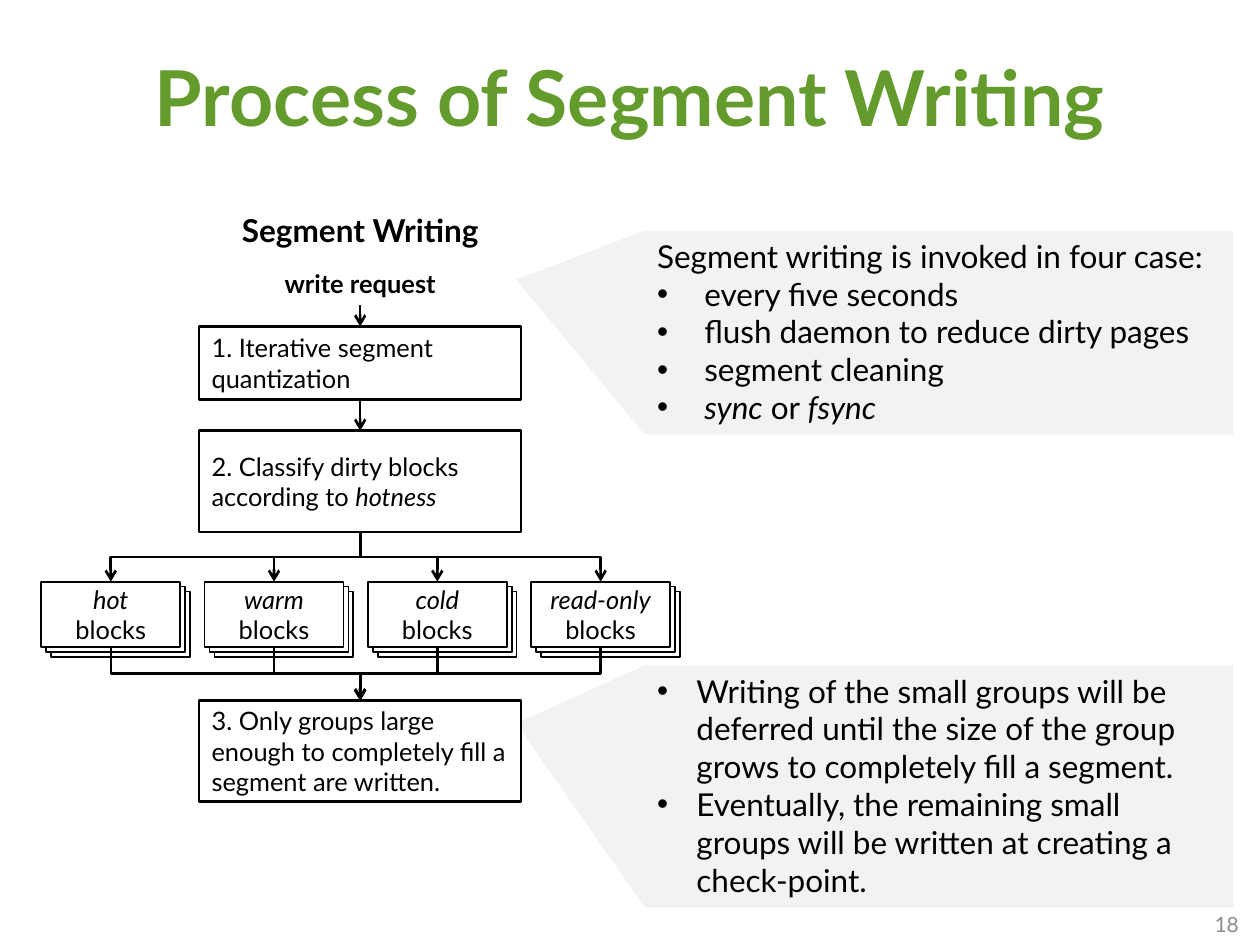
import pptx
import pptx.util
import pptx.dml.color
import pptx.enum.shapes
import pptx.enum.text
import pptx.oxml
import pptx.oxml.ns

Pt = pptx.util.Pt
SHAPE = pptx.enum.shapes.MSO_SHAPE
LINK = pptx.enum.shapes.MSO_CONNECTOR
ALIGN = pptx.enum.text.PP_ALIGN
ANCHOR = pptx.enum.text.MSO_ANCHOR
GREEN = pptx.dml.color.RGBColor(0x64, 0x9B, 0x2D)
BLACK = pptx.dml.color.RGBColor(0, 0, 0)
WHITE = pptx.dml.color.RGBColor(0xFF, 0xFF, 0xFF)
PALE = pptx.dml.color.RGBColor(0xF2, 0xF2, 0xF2)
GRAY = pptx.dml.color.RGBColor(0x8C, 0x8C, 0x8C)


def add_xml(parent, tag, **attributes):
    """Append a DrawingML element to the parent."""
    child = pptx.oxml.parse_xml(f"<a:{tag} {pptx.oxml.ns.nsdecls('a')}/>")
    for name, value in attributes.items():
        child.set(name, str(value))
    parent.append(child)


def write(shape, paragraphs, size, color=BLACK, bold=False, align=ALIGN.LEFT,
          anchor=ANCHOR.MIDDLE, indent=0, plain=0):
    """Fill a shape with paragraphs of (text, italic) spans, bulleted after the plain ones."""
    frame = shape.text_frame
    frame.word_wrap = True
    frame.vertical_anchor = anchor
    for index, spans in enumerate(paragraphs):
        para = frame.add_paragraph() if index else frame.paragraphs[0]
        para.alignment = align
        if indent and index >= plain:
            settings = para._p.get_or_add_pPr()
            settings.set("marL", str(Pt(indent)))
            settings.set("indent", str(-Pt(indent)))
            add_xml(settings, "buFont", typeface="Arial")
            add_xml(settings, "buChar", char="•")
        para.font.name = "Lato"
        para.font.size = Pt(size)
        para.font.bold = bold
        para.font.color.rgb = color
        for text, italic in spans:
            span = para.add_run()
            span.text = text
            if italic:
                span.font.italic = True


def add_label(page, left, top, width, height, text, size, **style):
    """Add a text box with one line of text."""
    box = page.shapes.add_textbox(Pt(left), Pt(top), Pt(width), Pt(height))
    write(box, [[(text, False)]], size, **style)
    return box


def add_box(page, kind, left, top, width, height, fill, line=0):
    """Add a filled shape, outlined in black when a line width is given."""
    box = page.shapes.add_shape(kind, Pt(left), Pt(top), Pt(width), Pt(height))
    box.shadow.inherit = False
    box.fill.solid()
    box.fill.fore_color.rgb = fill
    if line:
        box.line.color.rgb = BLACK
        box.line.width = Pt(line)
    else:
        box.line.fill.background()
    return box


def add_step(page, left, top, width, height, spans):
    """Add one process step."""
    box = add_box(page, SHAPE.FLOWCHART_PROCESS, left, top, width, height, WHITE, 1.5)
    write(box, [spans], 14.5)
    return box


def add_stack(page, left, top, width, height, name):
    """Add three stacked cards with the name of a block group on the front one."""
    for shift in (5.6, 2.8, 0):
        card = add_box(page, SHAPE.FLOWCHART_PROCESS, left + shift, top + shift,
                       width, height, WHITE, 1)
    write(card, [[(name, True)], [("blocks", False)]], 14.5, align=ALIGN.CENTER)
    return card


def style_arrow(link):
    """Give a connector a black line and an open arrowhead."""
    link.line.color.rgb = BLACK
    link.line.width = Pt(1.5)
    add_xml(link.line._get_or_add_ln(), "tailEnd", type="arrow")
    add_xml(link._element.spPr, "effectLst")


def join_straight(page, upper, lower):
    """Join the bottom of one shape to the top of the next."""
    link = page.shapes.add_connector(LINK.STRAIGHT, 0, 0, 0, 0)
    link.begin_connect(upper, 2)
    link.end_connect(lower, 0)
    style_arrow(link)


def join_bent(page, upper, lower):
    """Run a down-across-down arrow from one shape to another."""
    x1, y1 = upper.left + upper.width // 2, upper.top + upper.height
    x2, y2 = lower.left + lower.width // 2, lower.top
    drop, across = y2 - y1, abs(x2 - x1)
    left = (x1 + x2 - drop) // 2
    top = (y1 + y2 - across) // 2
    ends = (left, left + drop) if x2 < x1 else (left + drop, left)
    link = page.shapes.add_connector(LINK.ELBOW, ends[0], top, ends[1], top + across)
    turn = 90 if x2 < x1 else 270
    link._element.spPr.xfrm.set("rot", str(turn * 60000))
    style_arrow(link)


def add_callout(page, left, top, width, height, paragraphs, indent, plain=0):
    """Add a pale note with a pointer on its left side."""
    note = add_box(page, SHAPE.RECTANGLE, left, top, width, height, PALE)
    write(note, paragraphs, 18, anchor=ANCHOR.TOP, indent=indent, plain=plain)
    reach = 73.4
    pointer = add_box(page, SHAPE.ISOSCELES_TRIANGLE, left - (reach + height) / 2,
                      top + (height - reach) / 2, height, reach, PALE)
    pointer.adjustments[0] = 0.76
    pointer.rotation = 270


def add_flow(page, left, top):
    """Add the segment writing flow chart."""
    step_left, step_width = left + 90.2, 184
    add_label(page, step_left - 5.4, top, 195, 28.8, "Segment Writing", 18,
              bold=True, align=ALIGN.CENTER)
    request = add_box(page, SHAPE.RECTANGLE, step_left + 35.5, top + 32.4, 113, 25.2, WHITE)
    write(request, [[("write request", False)]], 14.5, bold=True, align=ALIGN.CENTER)
    quantize = add_step(page, step_left, top + 69.7, step_width, 41.8,
                        [("1. Iterative segment quantization", False)])
    classify = add_step(page, step_left, top + 129.3, step_width, 58,
                        [("2. Classify dirty blocks according to ", False), ("hotness", True)])
    finish = add_step(page, step_left, top + 283.5, step_width, 57.8,
                      [("3. Only groups large enough to completely fill a segment are written.",
                        False)])
    stacks = [add_stack(page, left + index * 93.3, top + 215.6, 79.4, 37.4, name)
              for index, name in enumerate(("hot", "warm", "cold", "read-only"))]
    join_straight(page, request, quantize)
    join_straight(page, quantize, classify)
    for stack in stacks:
        join_bent(page, classify, stack)
        join_bent(page, stack, finish)


def build_page(page):
    """Place the title, the notes, the flow chart and the page number."""
    add_callout(page, 368.4, 380.2, 336.4, 138.2, [
        [("Writing of the small groups will be deferred until the size of the group "
          "grows to completely fill a segment.", False)],
        [("Eventually, the remaining small groups will be written at creating a "
          "check-point.", False)]], 22.5)
    add_callout(page, 368.4, 131.8, 336.4, 116.4, [
        [("Segment writing is invoked in four case:", False)],
        [("every five seconds", False)],
        [("flush daemon to reduce dirty pages", False)],
        [("segment cleaning", False)],
        [("sync", True), (" or ", False), ("fsync", True)]], 27, plain=1)
    add_label(page, 36, 9.4, 648, 90, "Process of Segment Writing", 44,
              color=GREEN, bold=True, align=ALIGN.CENTER)
    add_flow(page, 23.6, 116.8)
    add_label(page, 547.2, 513.4, 167.8, 28.8, "18", 12, color=GRAY, align=ALIGN.RIGHT)


def main():
    """Build and save the deck."""
    deck = pptx.Presentation()
    deck.slide_width, deck.slide_height = Pt(720), Pt(540)
    build_page(deck.slides.add_slide(deck.slide_layouts[6]))
    deck.save("out.pptx")


if __name__ == "__main__":
    main()
